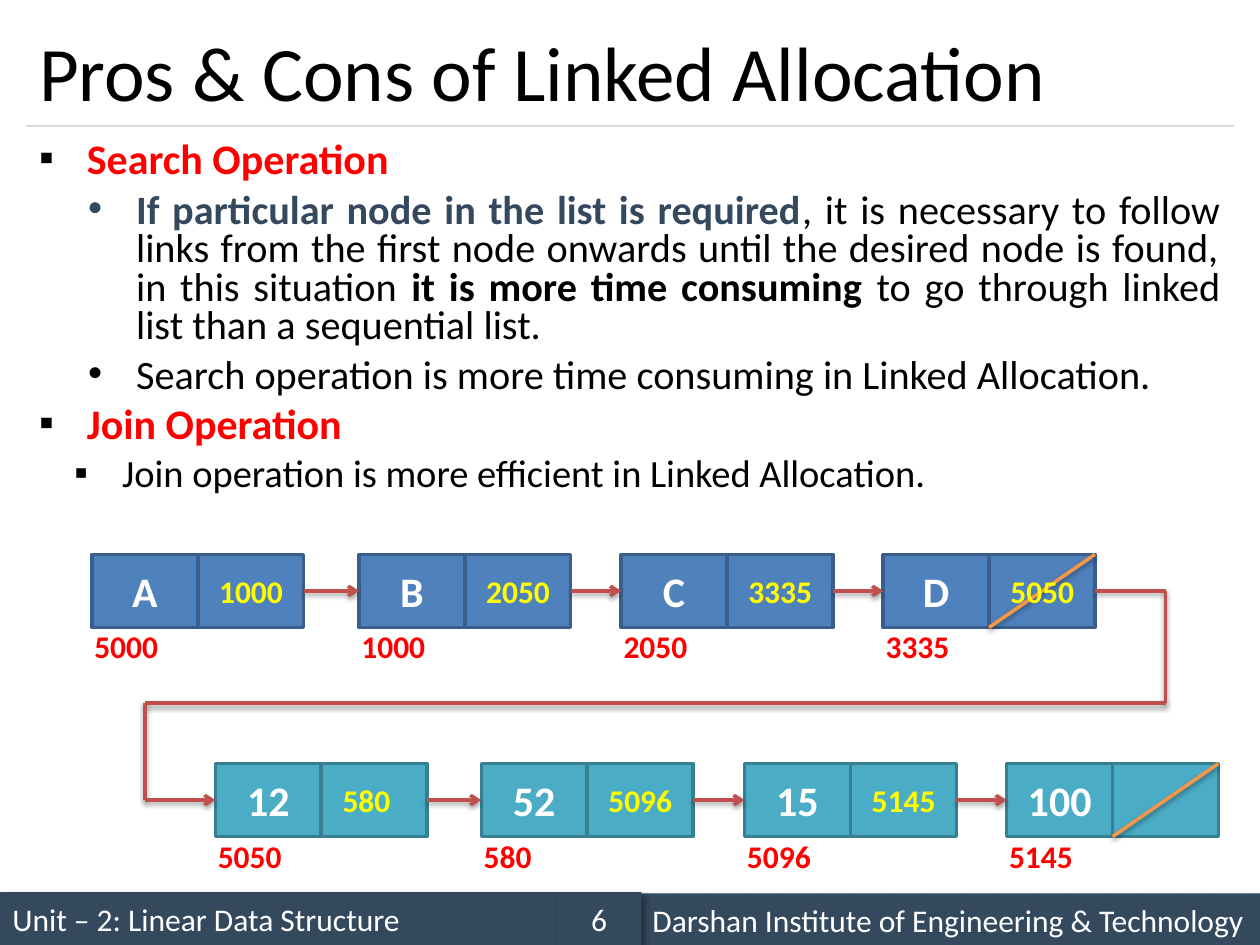
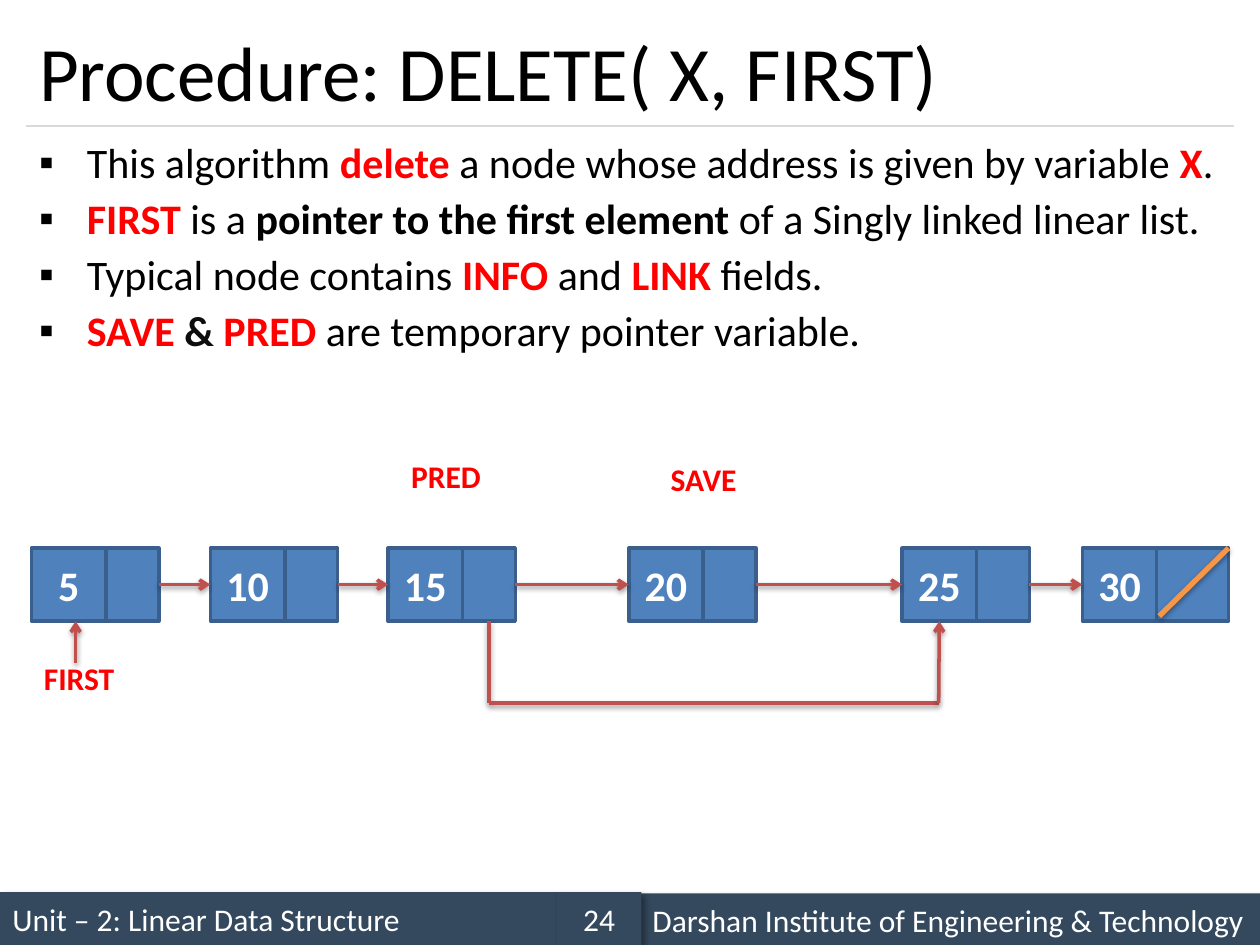
import lxml.etree
import pptx
import pptx.dml.color
import pptx.enum.shapes
import pptx.enum.text
import pptx.oxml.ns
import pptx.util

Inches = pptx.util.Inches
Pt = pptx.util.Pt
RGBColor = pptx.dml.color.RGBColor
ALIGN = pptx.enum.text.PP_ALIGN
ANCHOR = pptx.enum.text.MSO_ANCHOR
qn = pptx.oxml.ns.qn

FONT = "Calibri"
BLACK = RGBColor(0x00, 0x00, 0x00)
WHITE = RGBColor(0xFF, 0xFF, 0xFF)
SLATE = RGBColor(0x34, 0x49, 0x5E)
CHARCOAL = RGBColor(0x0D, 0x0D, 0x0D)
GREY = RGBColor(0xD9, 0xD9, 0xD9)
RED = RGBColor(0xFF, 0x00, 0x00)
YELLOW = RGBColor(0xFF, 0xFF, 0x00)
ARROW_RED = RGBColor(0xC0, 0x50, 0x4D)
ORANGE = RGBColor(0xF7, 0x96, 0x46)
BLUE_NODE = (RGBColor(0x4F, 0x81, 0xBD), RGBColor(0x3A, 0x5F, 0x8C))
TEAL_NODE = (RGBColor(0x4B, 0xAC, 0xC6), RGBColor(0x37, 0x7F, 0x92))

# Span styles: colour, bold
PLAIN = (BLACK, False)
STRONG = (BLACK, True)
KEY = (RED, True)

# Shadows: opacity in percent, blur and distance in points, angle in degrees
BAND_SHADOW = (40, 4, 3, 45)
LINE_SHADOW = (38, 3.1, 1.6, 90)

# List levels: left margin in inches, bullet
LEVELS = {0: (0.38, "▪"), 1: (0.77, "•"), 2: (0.66, "▪")}
HANGING = 0.38
BOTTOM, LEFT, RIGHT = 2, 1, 3
NODE_HEIGHT = 0.58


# ---- Formatting helpers ----
def add_child(parent, tag, **attributes):
    child = lxml.etree.SubElement(parent, qn(tag))
    for name, value in attributes.items():
        child.set(name, str(value))
    return child


def set_effect(shape, shadow=None):
    effects = add_child(shape._element.spPr, "a:effectLst")
    if shadow:
        opacity, blur, distance, angle = shadow
        outer = add_child(effects, "a:outerShdw", blurRad=int(Pt(blur)),
                          dist=int(Pt(distance)), dir=angle * 60000, rotWithShape=0)
        add_child(add_child(outer, "a:srgbClr", val="000000"),
                  "a:alpha", val=opacity * 1000)


def style_font(font, size=None, colour=None, bold=None):
    if size:
        font.name, font.size = FONT, Pt(size)
    if colour is not None:
        font.color.rgb, font.bold = colour, bold


def place(shape, left, top, width, height):
    shape.left, shape.top = Inches(left), Inches(top)
    shape.width, shape.height = Inches(width), Inches(height)


# ---- Elements ----
def add_rectangle(shapes, area, fill, outline=None, text="", size=24, bold=True,
                  align=ALIGN.CENTER, shadow=None):
    box = shapes.add_shape(pptx.enum.shapes.MSO_SHAPE.RECTANGLE, *map(Inches, area))
    box.fill.solid()
    box.fill.fore_color.rgb = fill
    if outline is None:
        box.line.fill.background()
    else:
        box.line.color.rgb, box.line.width = outline, Pt(2)
    set_effect(box, shadow)
    if text:
        frame = box.text_frame
        frame.text = text
        frame.vertical_anchor = ANCHOR.MIDDLE
        frame.paragraphs[0].alignment = align
        style_font(frame.paragraphs[0].font, size, WHITE, bold)
    return box


def add_line(page, begin, end, colour=ARROW_RED, width=2, arrow=False, shadow=LINE_SHADOW):
    line = page.shapes.add_connector(pptx.enum.shapes.MSO_CONNECTOR.STRAIGHT,
                                     *map(Inches, begin + end))
    line.line.color.rgb, line.line.width = colour, Pt(width)
    if arrow:
        add_child(line._element.spPr.find(qn("a:ln")), "a:tailEnd", type="arrow")
    set_effect(line, shadow)
    return line


def add_route(page, points, start, finish):
    """Draw lines through the points; start and finish are (shape, side)."""
    last = len(points) - 2
    lines = [add_line(page, points[i], points[i + 1], arrow=i == last)
             for i in range(last + 1)]
    lines[0].begin_connect(*start)
    lines[-1].end_connect(*finish)


def add_label(page, text, left, top, width=0.71, colour=RED, align=ALIGN.LEFT):
    box = page.shapes.add_textbox(Inches(left), Inches(top), Inches(width), Inches(0.4))
    frame = box.text_frame
    frame.word_wrap = False
    frame.text = text
    frame.paragraphs[0].alignment = align
    style_font(frame.paragraphs[0].font, 18, colour, True)


def add_node(page, left, top, info, info_width, link_width, colours):
    group = page.shapes.add_group_shape()
    info_cell = add_rectangle(group.shapes, (left, top, info_width, NODE_HEIGHT),
                              *colours, text=info)
    link_cell = add_rectangle(group.shapes,
                              (left + info_width, top, link_width, NODE_HEIGHT), *colours)
    return info_cell, link_cell


def join_nodes(page, nodes):
    for (_, link), (info, _) in zip(nodes, nodes[1:]):
        arrow = add_line(page, (0, 0), (1, 0), arrow=True)
        arrow.begin_connect(link, RIGHT)
        arrow.end_connect(info, LEFT)


def add_addressed_list(page, top, rows, colours):
    """Draw a chain from rows of left, info, link and address; return its cells."""
    cell = 0.84
    nodes = [add_node(page, left, top, info, cell, cell, colours)
             for left, info, _, _ in rows]
    join_nodes(page, nodes)
    end = rows[-1][0] + 2 * cell
    add_line(page, (end, top), (end - cell, top + NODE_HEIGHT), ORANGE)
    for left, _, link, address in rows:
        add_label(page, address, left - 0.08, top + 0.53)
        if link:
            add_label(page, link, left + 0.91, top + 0.09, colour=YELLOW)
    return nodes


def add_body(page, height, spacing, items):
    """Fill the body from items of level, size and spans."""
    body = page.placeholders[1]
    place(body, 0.21, 1.08, 9.58, height)
    frame = body.text_frame
    frame.auto_size = pptx.enum.text.MSO_AUTO_SIZE.NONE
    for index, (level, size, spans) in enumerate(items):
        para = frame.add_paragraph() if index else frame.paragraphs[0]
        margin, bullet = LEVELS[level]
        para.level = level
        properties = para._p.get_or_add_pPr()
        properties.set("marL", str(Inches(margin)))
        properties.set("indent", str(-Inches(HANGING)))
        if level == 0:
            add_child(add_child(properties, "a:buClr"), "a:srgbClr", val=str(BLACK))
        add_child(properties, "a:buChar", char=bullet)
        para.alignment = ALIGN.JUSTIFY
        para.line_spacing = spacing
        para.space_before = Pt(6 if index else 0)
        style_font(para.font, size)
        for text, style in spans:
            span = para.add_run()
            span.text = text
            style_font(para.font if len(spans) == 1 else span.font, None, *style)


def add_page(deck, title, number):
    page = deck.slides.add_slide(deck.slide_layouts[1])
    # Footer bands and the rule under the title
    bands = [
        ((0, 7.08, 4.42, 0.42), "Unit – 2: Linear Data Structure", ALIGN.LEFT),
        ((5.08, 7.09, 4.92, 0.42), "Darshan Institute of Engineering & Technology",
         ALIGN.LEFT),
        ((4.42, 7.08, 0.67, 0.42), str(number), ALIGN.CENTER),
    ]
    for area, text, align in bands:
        add_rectangle(page.shapes, area, SLATE, None, text, 18, False, align, BAND_SHADOW)
    add_line(page, (0.21, 1), (9.79, 1), GREY, 0.75, shadow=None)
    # Title
    heading = page.shapes.title
    place(heading, 0.21, 0.12, 9.58, 0.88)
    frame = heading.text_frame
    frame.text = title
    frame.auto_size = pptx.enum.text.MSO_AUTO_SIZE.NONE
    frame.vertical_anchor = ANCHOR.MIDDLE
    frame.paragraphs[0].alignment = ALIGN.LEFT
    style_font(frame.paragraphs[0].font, 44, BLACK, False)
    return page


# ---- Slides ----
def build_allocation_page(deck):
    page = add_page(deck, "Pros & Cons of Linked Allocation", 6)
    add_body(page, 3.08, 0.8, [
        (0, 24, [("Search Operation", KEY)]),
        (1, 23, [("If particular node in the list is required", (SLATE, True)),
                 (", it is necessary to follow links from the first node onwards until "
                  "the desired node is found, in this situation ", PLAIN),
                 ("it is more time consuming ", STRONG),
                 ("to go through linked list than a sequential list.", PLAIN)]),
        (1, 23, [("Search operation is more time consuming in Linked Allocation.", PLAIN)]),
        (0, 24, [("Join Operation", KEY)]),
        (2, 22, [("Join operation is more efficient in Linked Allocation.", PLAIN)]),
    ])
    # Two lists, the first joined to the second
    first_list = add_addressed_list(page, 4.4, [
        (0.73, "A", "1000", "5000"), (2.85, "B", "2050", "1000"),
        (4.93, "C", "3335", "2050"), (7.01, "D", "5050", "3335"),
    ], BLUE_NODE)
    second_list = add_addressed_list(page, 6.06, [
        (1.71, "12", "580", "5050"), (3.82, "52", "5096", "580"),
        (5.91, "15", "5145", "5096"), (7.99, "100", "", "5145"),
    ], TEAL_NODE)
    add_route(page, [(8.69, 4.69), (9.25, 4.69), (9.25, 5.58),
                     (1.15, 5.58), (1.15, 6.35), (1.71, 6.35)],
              (first_list[-1][1], RIGHT), (second_list[0][0], LEFT))


def build_delete_page(deck):
    page = add_page(deck, "Procedure: DELETE( X, FIRST)", 24)
    add_body(page, 2, 0.9, [
        (0, 24, [("This algorithm ", PLAIN), ("delete ", KEY),
                 ("a node whose address is given by variable ", PLAIN),
                 ("X", KEY), (".", PLAIN)]),
        (0, 24, [("FIRST ", KEY), ("is a ", PLAIN),
                 ("pointer to the first element", STRONG),
                 (" of a Singly linked linear list.", PLAIN)]),
        (0, 24, [("Typical node contains ", PLAIN), ("INFO ", KEY), ("and ", PLAIN),
                 ("LINK ", KEY), ("fields.", PLAIN)]),
        (0, 24, [("SAVE ", KEY), ("&", (CHARCOAL, True)), (" PRED ", KEY),
                 ("are temporary pointer variable.", PLAIN)]),
    ])
    # List of nodes; the last link is empty and wider
    top = 4.35
    nodes = [add_node(page, left, top, info, 0.59, link_width, BLUE_NODE)
             for left, info, link_width in [
                 (0.25, "5", 0.42), (1.67, "10", 0.42), (3.08, "15", 0.42),
                 (4.99, "20", 0.42), (7.16, "25", 0.42), (8.59, "30", 0.57)]]
    join_nodes(page, nodes)
    add_line(page, (9.2, 4.89), (9.75, top), ORANGE, 3)
    # Pointers
    add_label(page, "FIRST", 0.25, 5.18, 0.77)
    add_line(page, (0.6, 5.26), (0.6, 4.93), arrow=True)
    add_label(page, "PRED", 3.16, 3.58, 0.76, align=ALIGN.CENTER)
    add_label(page, "SAVE", 5.22, 3.6, 0.73, align=ALIGN.CENTER)
    # Link that bypasses the deleted node
    add_route(page, [(3.88, 4.93), (3.88, 5.58), (7.45, 5.58), (7.45, 4.93)],
              (nodes[2][1], BOTTOM), (nodes[4][0], BOTTOM))


def main():
    deck = pptx.Presentation()
    deck.slide_width, deck.slide_height = Inches(10), Inches(7.5)
    build_allocation_page(deck)
    build_delete_page(deck)
    deck.save("out.pptx")


if __name__ == "__main__":
    main()
